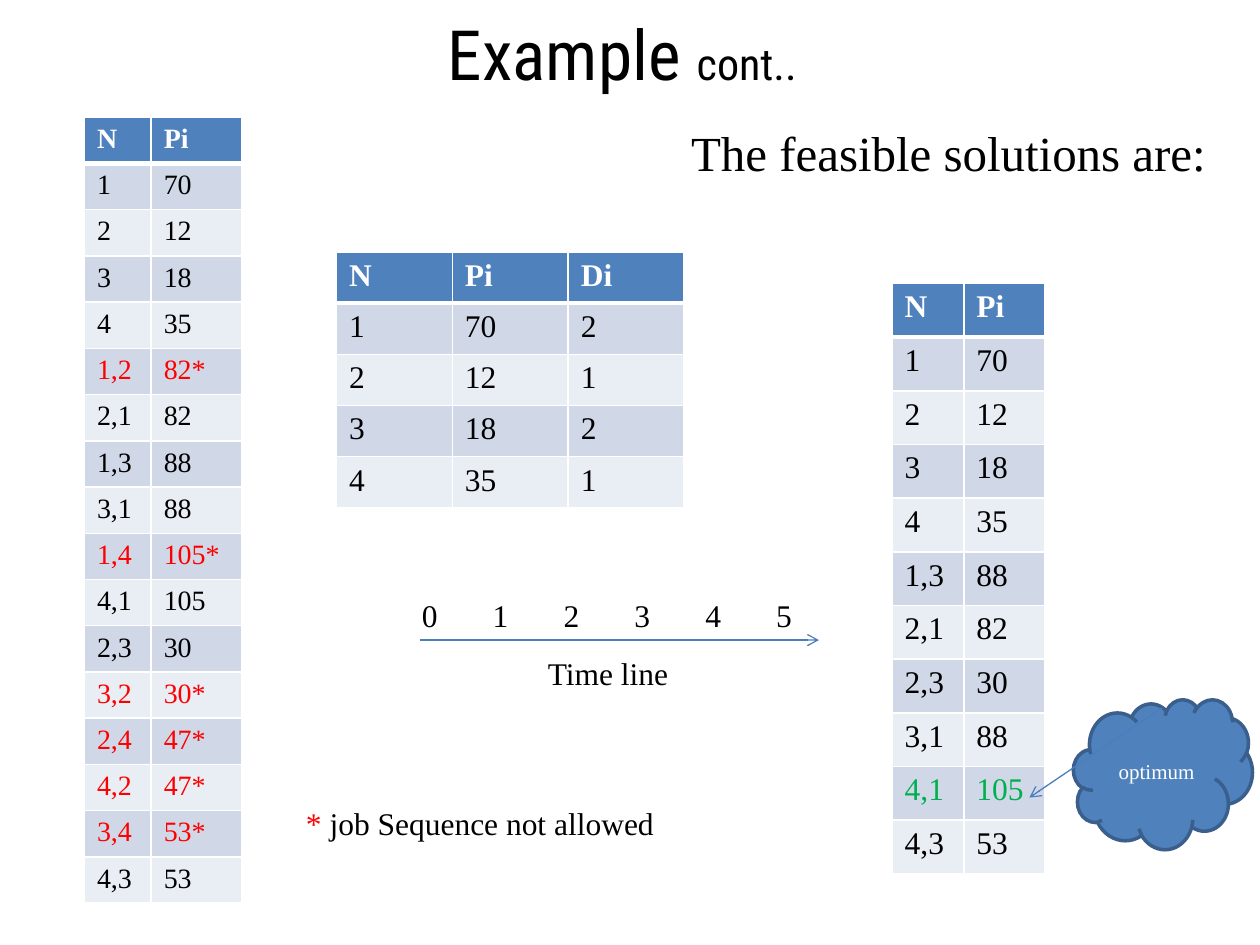
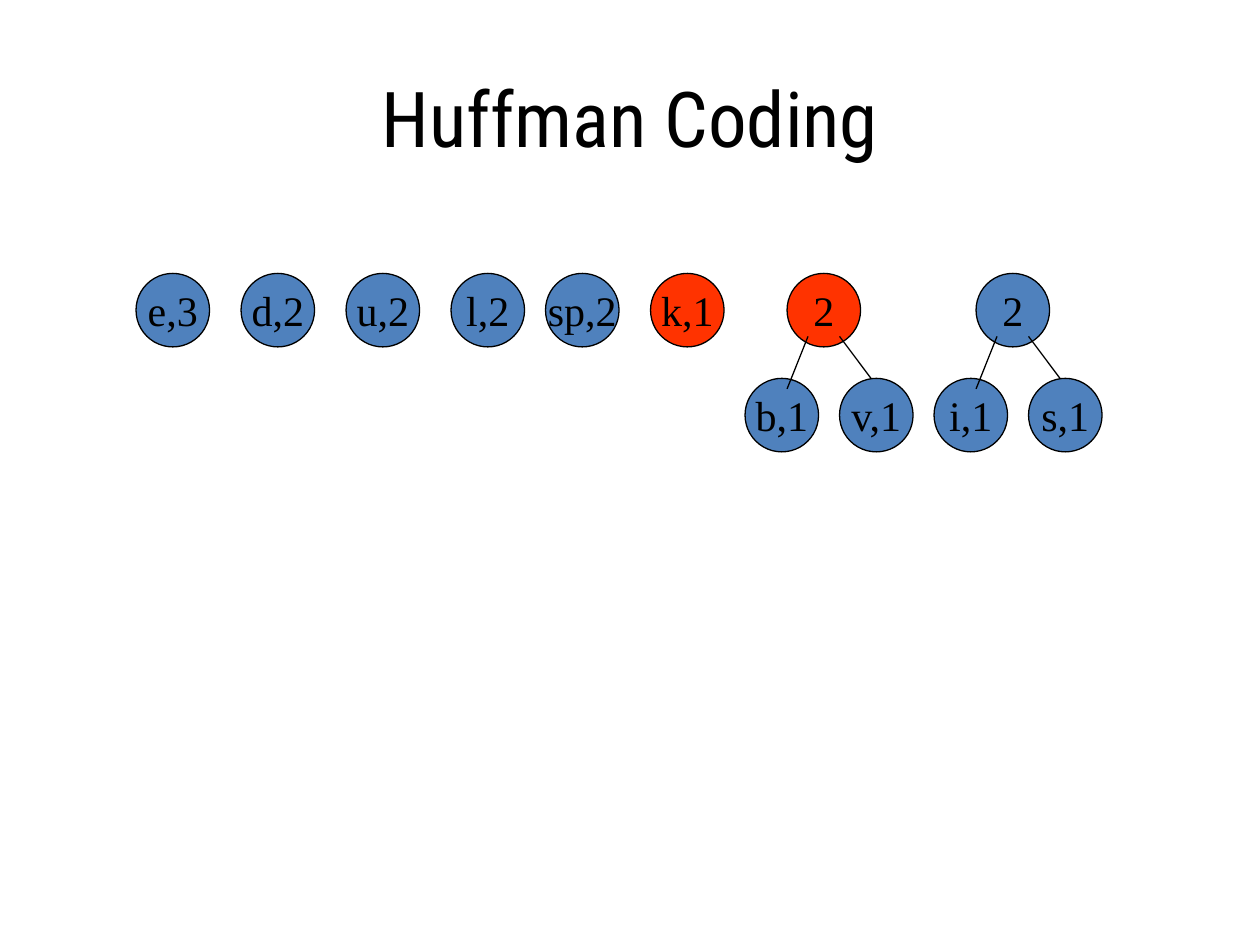
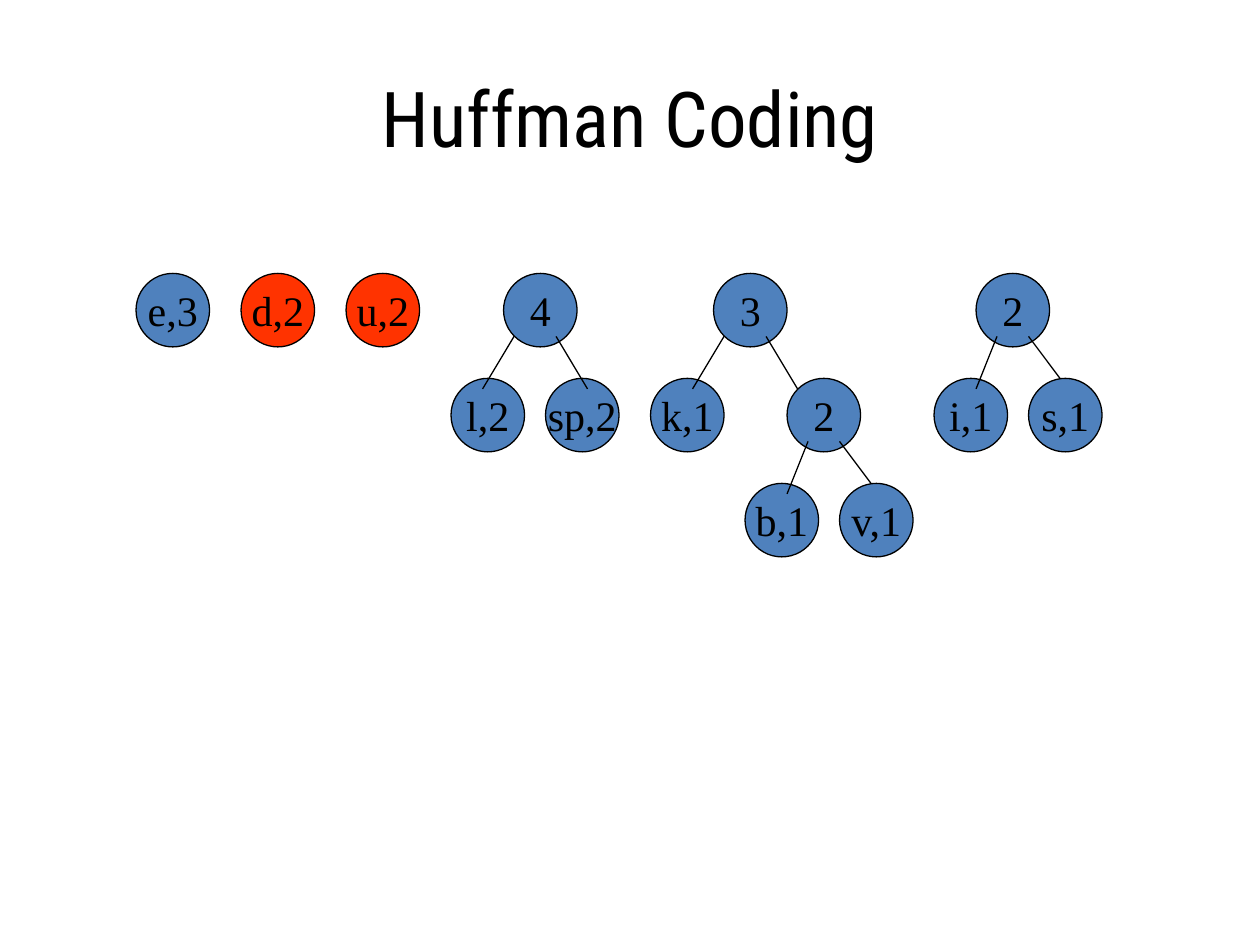
from dataclasses import dataclass, replace

from lxml.etree import SubElement
from pptx import Presentation
from pptx.dml.color import RGBColor
from pptx.enum.shapes import MSO_CONNECTOR, MSO_SHAPE
from pptx.enum.text import MSO_ANCHOR, PP_ALIGN
from pptx.oxml.ns import qn
from pptx.util import Inches, Pt

TITLE_FONT = "Roboto Condensed"
BODY_FONT = "Times New Roman"
BLACK, WHITE = "000000", "FFFFFF"
BLUE, DARK_BLUE, LINE_BLUE = "4F81BD", "3A5F8C", "4B7EBC"
BANDS = ("D0D8E8", "E9EDF4")
RED, GREEN, ORANGE = "FF0000", "00B050", "FF3300"
STEP = 1 / 12
DIAMETER = 7 * STEP
LEVEL_HEIGHT = 10 * STEP
NARROW_FORK = ((2, 6, 0, 11), (5, 6, 8, 10))
WIDE_FORK = ((1, 6, -2, 11), (5, 6, 8, 11))

JOBS = [("N", "Pi", "Di"), ("1", "70", "2"), ("2", "12", "1"),
        ("3", "18", "2"), ("4", "35", "1")]
SINGLE_JOBS = [job[:2] for job in JOBS]
SEQUENCES = SINGLE_JOBS + [
    ("1,2", "82*"), ("2,1", "82"), ("1,3", "88"), ("3,1", "88"),
    ("1,4", "105*"), ("4,1", "105"), ("2,3", "30"), ("3,2", "30*"),
    ("2,4", "47*"), ("4,2", "47*"), ("3,4", "53*"), ("4,3", "53")]
FEASIBLE = SINGLE_JOBS + [
    ("1,3", "88"), ("2,1", "82"), ("2,3", "30"), ("3,1", "88"),
    ("4,1", "105"), ("4,3", "53")]


@dataclass(frozen=True)
class Node:
    """A Huffman tree node whose column counts steps from the forest's left."""
    label: str
    column: int
    children: tuple = ()
    fork: tuple = NARROW_FORK
    fill: str = BLUE


def color(hex_string):
    """Turn a hex string into a colour."""
    return RGBColor.from_string(hex_string)


def format_run(run, size, hex_color=BLACK, font=BODY_FONT, bold=False):
    """Set the font of a run."""
    run.font.name = font
    run.font.size = Pt(size)
    run.font.bold = bold
    run.font.color.rgb = color(hex_color)


def add_text(slide, box, pieces, align=PP_ALIGN.LEFT,
             anchor=MSO_ANCHOR.TOP, font=BODY_FONT, wrap=True):
    """Add a one-paragraph text box made of (text, size, colour) pieces."""
    frame = slide.shapes.add_textbox(*map(Inches, box)).text_frame
    frame.word_wrap = wrap
    frame.vertical_anchor = anchor
    paragraph = frame.paragraphs[0]
    paragraph.alignment = align
    for text, size, hex_color in pieces:
        run = paragraph.add_run()
        run.text = text
        format_run(run, size, hex_color, font)
    return paragraph


def add_title(slide, box, pieces):
    """Add the centred slide title."""
    add_text(slide, box, pieces, PP_ALIGN.CENTER, MSO_ANCHOR.MIDDLE, TITLE_FONT)


def add_labelled_shape(slide, kind, box, label, size, text_color,
                       fill, line_color, line_width, wrap=True):
    """Add a filled preset shape with a centred label."""
    shape = slide.shapes.add_shape(kind, *map(Inches, box))
    shape.shadow.inherit = False
    shape.fill.solid()
    shape.fill.fore_color.rgb = color(fill)
    shape.line.color.rgb = color(line_color)
    shape.line.width = Pt(line_width)
    frame = shape.text_frame
    frame.text = label
    frame.word_wrap = wrap
    frame.vertical_anchor = MSO_ANCHOR.MIDDLE
    paragraph = frame.paragraphs[0]
    paragraph.alignment = PP_ALIGN.CENTER
    format_run(paragraph.runs[0], size, text_color)


def add_line(slide, ends, hex_color, arrow=False):
    """Add a thin straight connector, with an arrowhead if asked."""
    connector = slide.shapes.add_connector(
        MSO_CONNECTOR.STRAIGHT, *map(Inches, ends))
    connector.line.color.rgb = color(hex_color)
    connector.line.width = Pt(0.75)
    if arrow:
        SubElement(connector.line._get_or_add_ln(), qn("a:tailEnd"), type="arrow")
    SubElement(connector._element.spPr, qn("a:effectLst"))


def add_cell_borders(cell, row_index):
    """Give a cell white borders, thick under the header row."""
    properties = cell._tc.get_or_add_tcPr()
    thick_side = {0: "B", 1: "T"}.get(row_index)
    for side in "LRTB":
        width = Pt(3 if side == thick_side else 1)
        line = SubElement(properties, qn(f"a:ln{side}"), w=str(int(width)))
        fill = SubElement(line, qn("a:solidFill"))
        SubElement(fill, qn("a:srgbClr"), val=WHITE)


def add_job_table(slide, box, widths, rows, size, row_color=lambda row: BLACK):
    """Add a banded table whose rows share the height of the box."""
    left, top, width, height = map(Inches, box)
    table = slide.shapes.add_table(
        len(rows), len(widths), left, top, width, height).table
    for column, column_width in zip(table.columns, widths):
        column.width = Inches(column_width)
    for row_index, row in enumerate(rows):
        is_header = row_index == 0
        for column_index, text in enumerate(row):
            cell = table.cell(row_index, column_index)
            cell.text = text
            format_run(cell.text_frame.paragraphs[0].runs[0], size,
                       WHITE if is_header else row_color(row), bold=is_header)
            add_cell_borders(cell, row_index)
            cell.fill.solid()
            cell.fill.fore_color.rgb = color(
                BLUE if is_header else BANDS[(row_index - 1) % 2])


def add_timeline(slide, left, top):
    """Add the time scale, its arrow and its caption."""
    scale = add_text(slide, (left, top, 3.17, 0.4),
                     [("\t".join(map(str, range(6))), 18, BLACK)])
    tabs = SubElement(scale._p.get_or_add_pPr(), qn("a:tabLst"))
    for tick in range(1, 6):
        SubElement(tabs, qn("a:tab"), pos=str(int(Inches(0.5625 * tick))), algn="l")
    add_line(slide, (left + 0.08, top + 0.4, left + 3.25, top + 0.4),
             LINE_BLUE, arrow=True)
    add_text(slide, (left + 1, top + 0.46, 1.17, 0.4),
             [("Time line", 18, BLACK)], wrap=False)


def add_optimum(slide, left, top):
    """Add the cloud that points at the best solution."""
    add_labelled_shape(slide, MSO_SHAPE.CLOUD, (left, top, 1.42, 1.19),
                       "optimum", 12, WHITE, BLUE, DARK_BLUE, 2)
    add_line(slide, (left + 0.7, top + 0.07, left - 0.35, top + 0.78),
             LINE_BLUE, arrow=True)


def add_tree(slide, node, left, top):
    """Draw a node over its subtrees, then the lines down to them."""
    for child in node.children:
        add_tree(slide, child, left, top + LEVEL_HEIGHT)
    x = left + node.column * STEP
    add_labelled_shape(slide, MSO_SHAPE.OVAL, (x, top, DIAMETER, DIAMETER),
                       node.label, 24, BLACK, node.fill, BLACK, 0.75, wrap=False)
    if node.children:
        for x1, y1, x2, y2 in node.fork:
            add_line(slide, (x + x1 * STEP, top + y1 * STEP,
                             x + x2 * STEP, top + y2 * STEP), BLACK)


def build_example_slide(slide):
    """Build the job sequencing example."""
    add_title(slide, (0.44, 0.04, 9, 0.75),
              [("Example ", 39.6, BLACK), ("cont..", 25.2, BLACK)])
    heading = add_text(slide, (0.5, 0.92, 9.17, 6.5),
                       [("The feasible solutions are:", 28, BLACK)], PP_ALIGN.RIGHT)
    heading.space_before = Pt(5.6)
    add_job_table(slide, (0.67, 0.93, 1.25, 6), (0.53, 0.72), SEQUENCES, 16,
                  lambda row: RED if row[1].endswith("*") else BLACK)
    add_job_table(slide, (7.08, 2.25, 1.21, 4.69), (0.57, 0.64), FEASIBLE, 18,
                  lambda row: GREEN if row[0] == "4,1" else BLACK)
    add_timeline(slide, 3.25, 4.68)
    add_job_table(slide, (2.67, 2, 2.75, 2.03), (0.92,) * 3, JOBS, 18)
    add_text(slide, (2.33, 6.33, 2.99, 0.4),
             [("* ", 18, RED), ("job Sequence not allowed", 18, BLACK)], wrap=False)
    add_optimum(slide, 8.52, 5.55)


def build_huffman_slide(slide, forest):
    """Build one step of the Huffman coding."""
    add_title(slide, (0.5, 0.3, 9, 1.25), [("Huffman Coding", 44, BLACK)])
    for tree in forest:
        add_tree(slide, tree, 1.08, 2.17)


def selected(node):
    """Mark a root as chosen for the next merge."""
    return replace(node, fill=ORANGE)


def huffman_forests():
    """Return the forests of the two Huffman steps."""
    e, d, u, l, sp, k, b, v, i, s = (
        Node(label, column) for label, column in zip(
            ("e,3", "d,2", "u,2", "l,2", "sp,2", "k,1", "b,1", "v,1", "i,1", "s,1"),
            (0, 10, 20, 30, 39, 49, 58, 67, 76, 85)))
    b_v = Node("2", 62, (b, v))
    i_s = Node("2", 80, (i, s))
    l_sp = Node("4", 35, (l, sp), WIDE_FORK)
    k_b_v = Node("3", 55, (k, b_v), WIDE_FORK)
    return ((e, d, u, l, sp, selected(k), selected(b_v), i_s),
            (e, selected(d), selected(u), l_sp, k_b_v, i_s))


def main():
    """Build and save the presentation."""
    presentation = Presentation()
    presentation.slide_width = Inches(10)
    presentation.slide_height = Inches(7.5)
    blank = presentation.slide_layouts[6]
    build_example_slide(presentation.slides.add_slide(blank))
    for forest in huffman_forests():
        build_huffman_slide(presentation.slides.add_slide(blank), forest)
    presentation.save("out.pptx")


if __name__ == "__main__":
    main()
